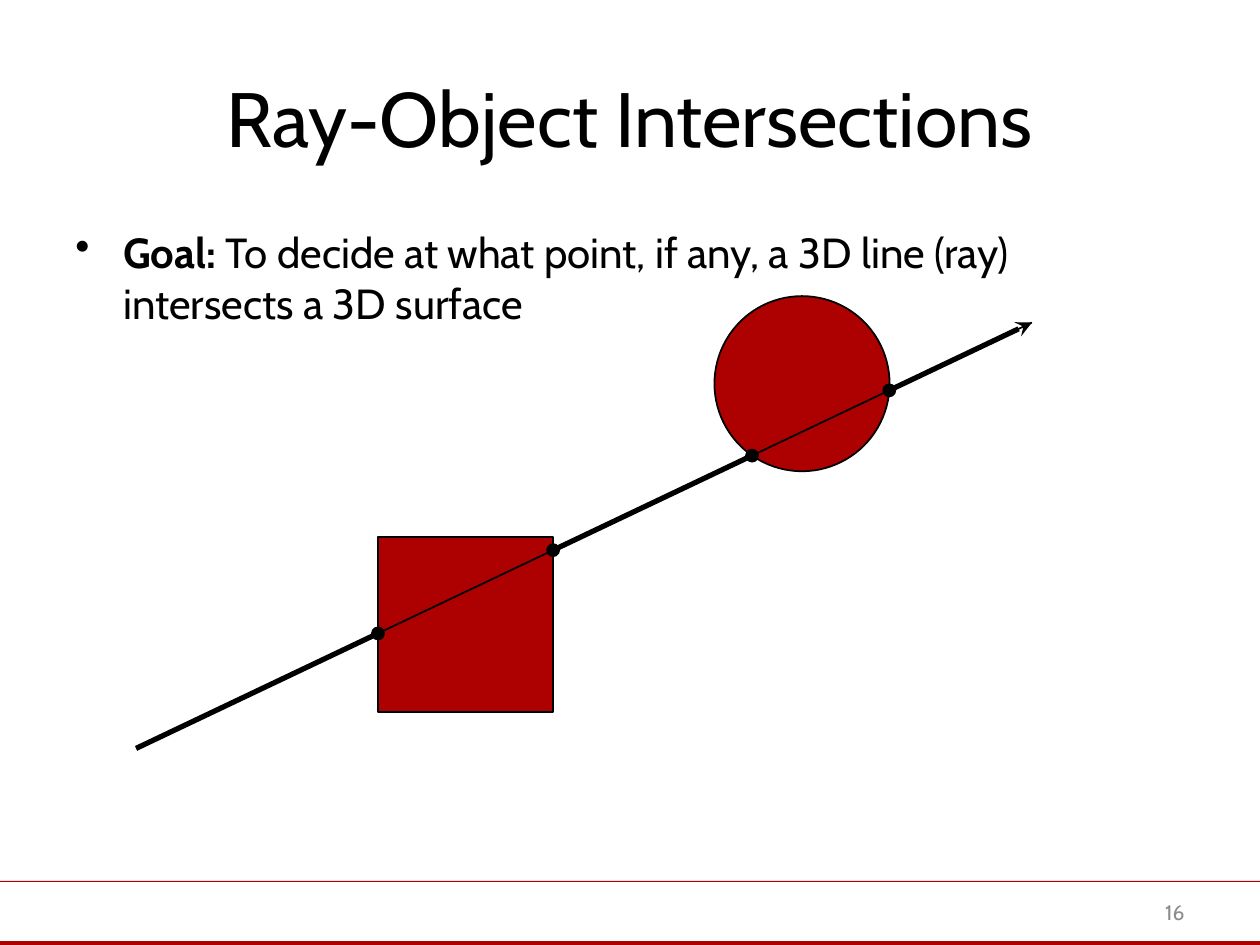
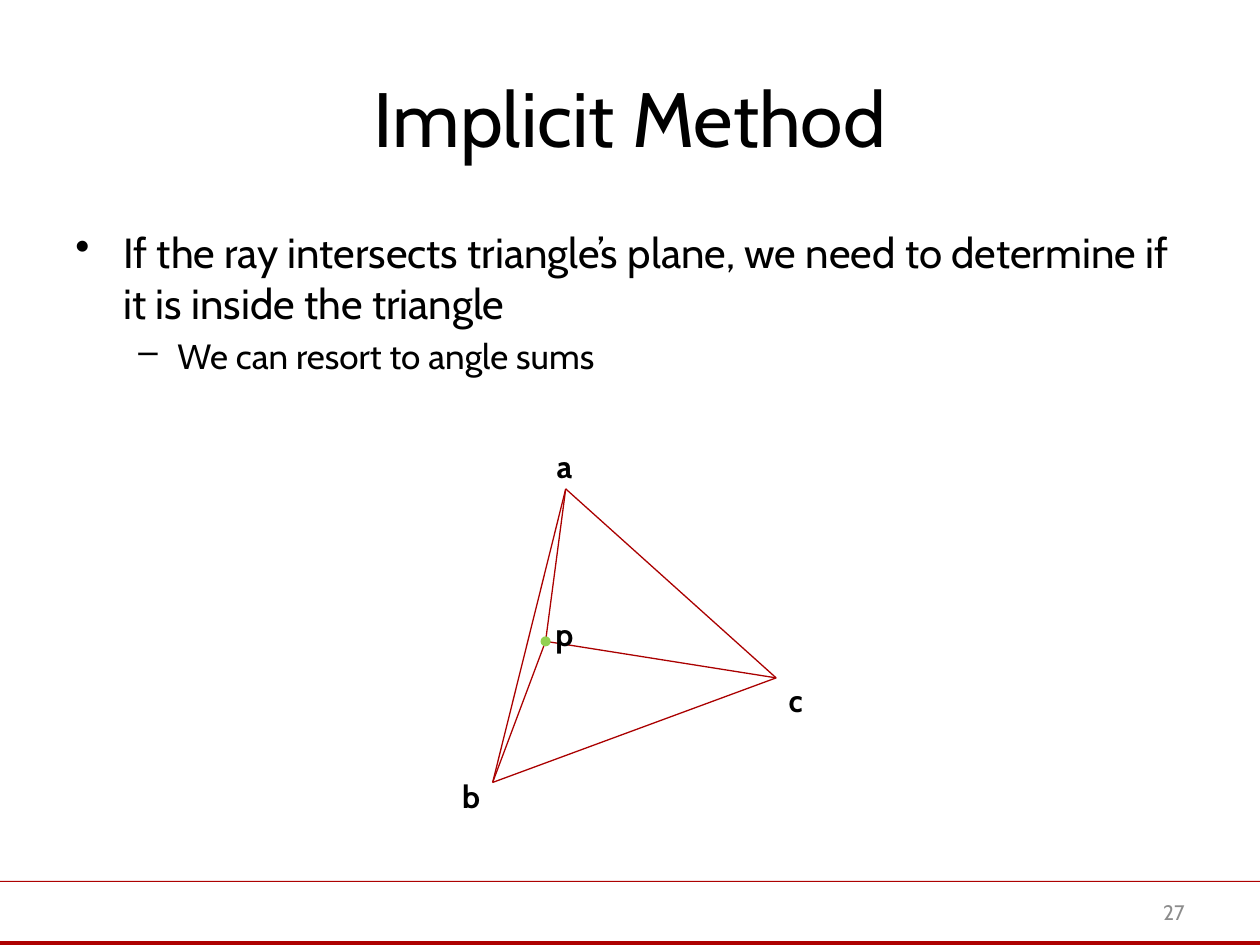
import dataclasses
import itertools
import math

import lxml.etree
import pptx
import pptx.dml.color
import pptx.enum.shapes
import pptx.enum.text
import pptx.oxml.ns
import pptx.util

CELL = 0.25  # inches; the slide is a grid of 40 columns by 30 rows
COLUMNS, ROWS = 40, 30
FONT = "Cabin"
BLACK, RED, EDGE_RED, GREEN, GREY = "000000", "AD0101", "AA0000", "92D050", "8C8C8C"
SHAPES = pptx.enum.shapes.MSO_SHAPE
ALIGN = pptx.enum.text.PP_ALIGN
ANCHOR = pptx.enum.text.MSO_ANCHOR


@dataclasses.dataclass
class Box:
    """A rectangle in grid cells."""
    left: float
    top: float
    width: float
    height: float

    def inner(self, left, top, width, height):
        return Box(self.left + left, self.top + top, width, height)

    def lengths(self):
        return [cells(value) for value in dataclasses.astuple(self)]


TITLE_BOX = Box(2, 1.2, 36, 5)
BODY_BOX = Box(2, 7, 36, 19.8)
NUMBER_BOX = Box(28.68, 28.16, 9.32, 1.6)
BANDS = [Box(0, 27.96, COLUMNS, 0.04), Box(0, 29.88, COLUMNS, 0.12)]
RAY_BOX = Box(4.32, 9.4, 28.44, 14.36)
TRIANGLE_BOX = Box(14.28, 14, 11.76, 12.08)

# Bullet, left margin and hanging indent in inches, size and space before in points
BULLET_LEVELS = [("•", 0.38, 0.38, 24, 0), ("–", 0.81, 0.31, 20, 4)]


def cells(count):
    return pptx.util.Inches(count * CELL)


def rgb(value):
    return pptx.dml.color.RGBColor.from_string(value)


def format_paragraph(paragraph, size, color=BLACK, alignment=ALIGN.LEFT, bold=False):
    paragraph.alignment = alignment
    paragraph.font.name = FONT
    paragraph.font.size = pptx.util.Pt(size)
    paragraph.font.bold = bold
    paragraph.font.color.rgb = rgb(color)


def add_text_box(slide, box, wrap=True):
    frame = slide.shapes.add_textbox(*box.lengths()).text_frame
    frame.word_wrap = wrap
    return frame


def add_filled(slide, preset, box, fill, outline=None):
    shape = slide.shapes.add_shape(preset, *box.lengths())
    shape.shadow.inherit = False
    shape.fill.solid()
    shape.fill.fore_color.rgb = rgb(fill)
    if outline:
        shape.line.color.rgb = rgb(outline)
        shape.line.width = pptx.util.Pt(1)
    else:
        shape.line.fill.background()


def add_dot(slide, box, center, size, fill):
    """Draw a dot around a point given relative to the box."""
    x, y = center
    dot = box.inner(x - size / 2, y - size / 2, size, size)
    add_filled(slide, SHAPES.OVAL, dot, fill)


def add_line(slide, box, start, end, color, width, arrow=False):
    """Join two points given relative to the box."""
    ends = [cells(offset + value) for point in (start, end)
            for offset, value in zip((box.left, box.top), point)]
    line = slide.shapes.add_connector(pptx.enum.shapes.MSO_CONNECTOR.STRAIGHT, *ends)
    line.line.color.rgb = rgb(color)
    line.line.width = pptx.util.Pt(width)
    if arrow:
        lxml.etree.SubElement(line.line._get_or_add_ln(),
                              pptx.oxml.ns.qn("a:tailEnd"), type="stealth")
    lxml.etree.SubElement(line._element.spPr, pptx.oxml.ns.qn("a:effectLst"))


def add_title(slide, text):
    title = slide.shapes.title
    title.left, title.top, title.width, title.height = TITLE_BOX.lengths()
    title.text_frame.text = text
    title.text_frame.vertical_anchor = ANCHOR.MIDDLE
    format_paragraph(title.text_frame.paragraphs[0], 44, alignment=ALIGN.CENTER)


def add_footer(slide, number):
    for band in BANDS:
        add_filled(slide, SHAPES.RECTANGLE, band, RED)
    frame = add_text_box(slide, NUMBER_BOX)
    frame.vertical_anchor = ANCHOR.MIDDLE
    frame.text = str(number)
    format_paragraph(frame.paragraphs[0], 12, GREY, ALIGN.RIGHT)


def add_bullets(slide, items):
    """Write one paragraph per item: its level, bold lead and plain text."""
    frame = add_text_box(slide, BODY_BOX)
    for index, (level, lead, text) in enumerate(items):
        paragraph = frame.add_paragraph() if index else frame.paragraphs[0]
        bullet, margin, hanging, size, space = BULLET_LEVELS[level]
        properties = paragraph._p.get_or_add_pPr()
        properties.set("marL", str(pptx.util.Inches(margin)))
        properties.set("indent", str(-pptx.util.Inches(hanging)))
        lxml.etree.SubElement(properties, pptx.oxml.ns.qn("a:buChar"), char=bullet)
        paragraph.level = level
        paragraph.space_before = pptx.util.Pt(space)
        format_paragraph(paragraph, size)
        if lead:
            run = paragraph.add_run()
            run.text = lead
            run.font.bold = True
        paragraph.add_run().text = text


def add_ray_diagram(slide, box):
    """Draw a ray through a square and a circle, with a dot at each crossing."""
    size = 5.56
    square_left, square_top, circle_left = 7.68, 7.64, 18.36
    start, tip = (0, box.height), (box.width, 0.84)
    slope = (tip[1] - start[1]) / (tip[0] - start[0])

    # Nearest point of the ray to the circle's centre, then half the chord to each side
    radius = size / 2
    center_x, center_y = circle_left + radius, radius
    gap = start[1] + slope * center_x - center_y
    steepness = 1 + slope ** 2
    middle_x = center_x - slope * gap / steepness
    half_chord = math.sqrt(radius ** 2 - gap ** 2 / steepness) / math.sqrt(steepness)
    crossings = [square_left, square_left + size,
                 middle_x - half_chord, middle_x + half_chord]

    add_line(slide, box, start, tip, BLACK, 3, arrow=True)
    add_filled(slide, SHAPES.RECTANGLE,
               box.inner(square_left, square_top, size, size), RED, BLACK)
    add_filled(slide, SHAPES.OVAL, box.inner(circle_left, 0, size, size), RED, BLACK)
    for x in crossings:
        add_dot(slide, box, (x, start[1] + slope * x), 0.44, BLACK)
    add_line(slide, box, start, tip, BLACK, 1)


def add_triangle_diagram(slide, box):
    """Draw triangle abc with every corner joined to the inner point p."""
    points = {"a": (3.68, 1.52), "b": (1.36, 10.84), "c": (10.36, 7.52), "p": (3.04, 6.36)}
    label_corners = {"a": (3, 0), "b": (0, 10.48), "c": (10.36, 7.44), "p": (2.96, 5.32)}
    for start, end in itertools.combinations(points.values(), 2):
        add_line(slide, box, start, end, EDGE_RED, 0.75)
    for name, corner in label_corners.items():
        frame = add_text_box(slide, box.inner(*corner, 1.4, 1.6), wrap=False)
        frame.auto_size = pptx.enum.text.MSO_AUTO_SIZE.SHAPE_TO_FIT_TEXT
        frame.text = name
        format_paragraph(frame.paragraphs[0], 18, bold=True)
    add_dot(slide, box, points["p"], 0.32, GREEN)


def add_content_slide(presentation, title, number, bullets):
    slide = presentation.slides.add_slide(presentation.slide_layouts.get_by_name("Title Only"))
    add_footer(slide, number)
    add_title(slide, title)
    add_bullets(slide, bullets)
    return slide


def main():
    presentation = pptx.Presentation()
    presentation.slide_width, presentation.slide_height = cells(COLUMNS), cells(ROWS)

    intersections = add_content_slide(presentation, "Ray-Object Intersections", 16, [
        (0, "Goal:", " To decide at what point, if any, a 3D line (ray) intersects a 3D surface"),
    ])
    add_ray_diagram(intersections, RAY_BOX)

    implicit = add_content_slide(presentation, "Implicit Method", 27, [
        (0, "", "If the ray intersects triangle’s plane, we need to determine if "
                "it is inside the triangle"),
        (1, "", "We can resort to angle sums"),
    ])
    add_triangle_diagram(implicit, TRIANGLE_BOX)

    presentation.save("out.pptx")


if __name__ == "__main__":
    main()
